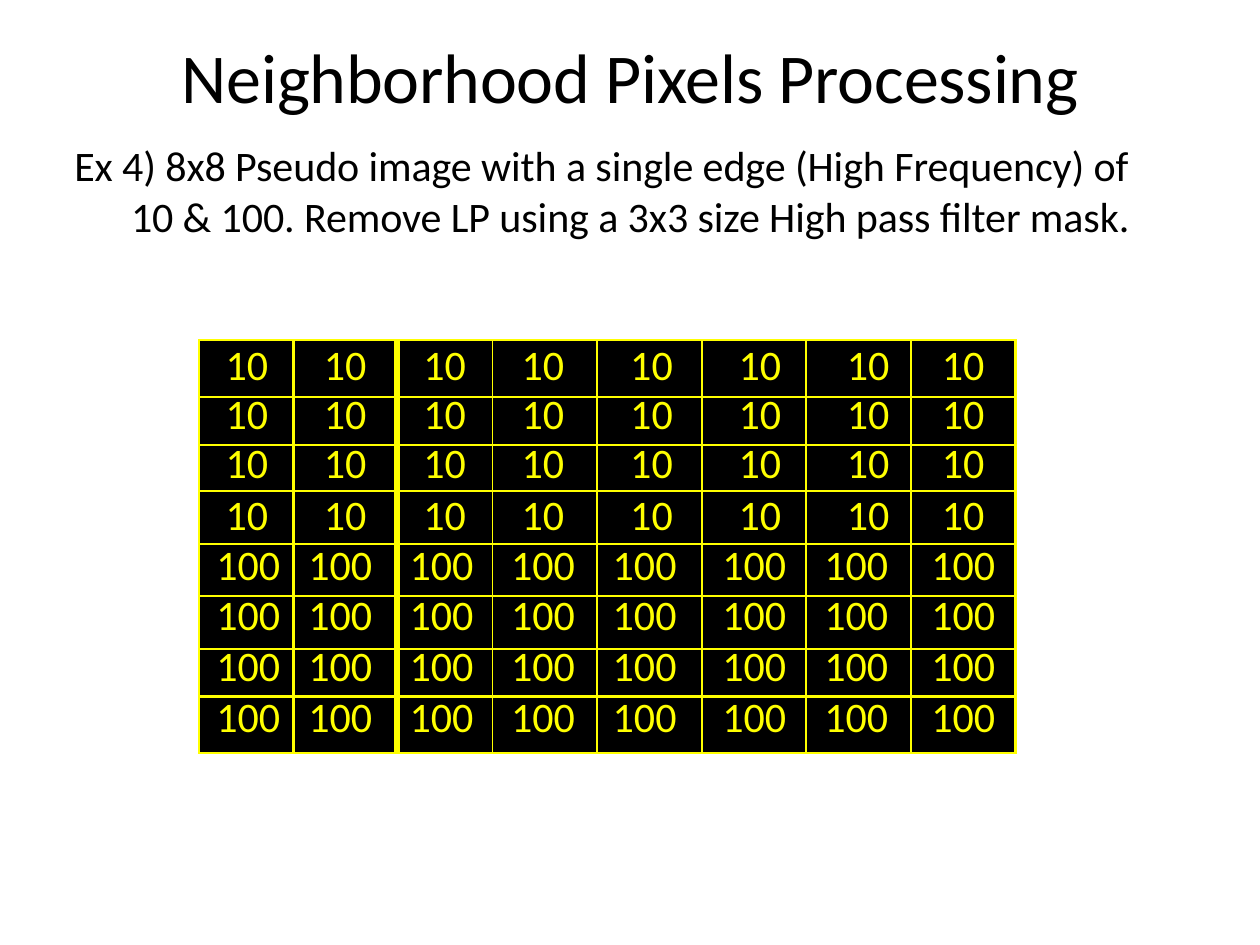
import pptx
import pptx.dml.color
import pptx.enum.text
import pptx.oxml
import pptx.oxml.ns
import pptx.util

Inches = pptx.util.Inches
ALIGN = pptx.enum.text.PP_ALIGN
ANCHOR = pptx.enum.text.MSO_ANCHOR
COLORS = {"text": "000000", "background": "FFFFFF", "cell": "000000", "grid": "FFFF00"}
COLUMN_WIDTHS = [0.75, 0.82, 0.76] + [0.83] * 5
ROW_HEIGHTS = [0.45, 0.38, 0.37, 0.42, 0.41, 0.42, 0.38, 0.45]
LINE_SPACINGS = [None, 25.2, 25.9, 28.7, 27.5, 26.4, 25.1, 26.9]
PIXEL_ROWS = [["10"] * 8] * 4 + [["100"] * 8] * 4
EDGE_WIDTHS = [1.5, 1.5, 4.25, 1, 1, 1.5, 1.5, 1.5, 1.5]
RIGHT_ALIGNED = (4, 5, 6)
RIGHT_MARGINS = {
    "10": [0, 0, 0, 0.03, 0.23, 0.2, 0.17, 0],
    "100": [0, 0.08, 0.05, 0.03, 0.2, 0.16, 0.18, 0],
}
LEFT_MARGINS = {"10": 0.01, "100": 0.03}


class PixelSlide:
    """Holds the style and the current slide, and adds each kind of element."""

    def __init__(self, presentation):
        self.font_name = "Calibri"
        self.slide = presentation.slides.add_slide(presentation.slide_layouts[5])
        background = self.slide.background.fill
        background.solid()
        background.fore_color.rgb = self.color("background")

    def color(self, name):
        return pptx.dml.color.RGBColor.from_string(COLORS[name])

    def apply(self, target, values):
        for name, value in values.items():
            setattr(target, name, value)

    def add_text(self, paragraph, text, size, color, spacing=0):
        run = paragraph.add_run()
        run.text = text
        self.apply(run.font, {"name": self.font_name, "size": pptx.util.Pt(size)})
        run.font.color.rgb = self.color(color)
        if spacing:
            run.font._element.set("spc", str(spacing))

    def prepare(self, shape, left, top, width, height, anchor):
        self.apply(shape, {"left": Inches(left), "top": Inches(top),
                           "width": Inches(width), "height": Inches(height)})
        self.apply(shape.text_frame, {
            "word_wrap": True, "vertical_anchor": anchor, "margin_left": 0,
            "margin_top": Inches(0.01), "margin_right": 0, "margin_bottom": 0})
        return shape.text_frame.paragraphs[0]

    def title(self, text, box):
        paragraph = self.prepare(self.slide.shapes.title, *box, ANCHOR.MIDDLE)
        paragraph.alignment = ALIGN.CENTER
        self.add_text(paragraph, text, 40, "text", -10)

    def description(self, text, box):
        shape = self.slide.shapes.add_textbox(0, 0, 0, 0)
        paragraph = self.prepare(shape, *box, ANCHOR.TOP)
        properties = paragraph._p.get_or_add_pPr()
        properties.set("marL", str(Inches(0.45)))
        properties.set("indent", str(Inches(-0.45)))
        self.add_text(paragraph, text, 24, "text", -7)

    def border(self, cell, side, width):
        cell._tc.get_or_add_tcPr().append(pptx.oxml.parse_xml(
            f'<a:ln{side} {pptx.oxml.ns.nsdecls("a")} w="{pptx.util.Pt(width)}">'
            f'<a:solidFill><a:srgbClr val="{COLORS["grid"]}"/></a:solidFill>'
            f'</a:ln{side}>'))

    def cell(self, cell, text, row, column):
        sides = {"L": EDGE_WIDTHS[column], "R": EDGE_WIDTHS[column + 1], "T": 1.5, "B": 1.5}
        for side, width in sides.items():
            self.border(cell, side, width)
        cell.fill.solid()
        cell.fill.fore_color.rgb = self.color("cell")
        self.apply(cell, {
            "margin_left": Inches(0 if column else LEFT_MARGINS[text]),
            "margin_right": Inches(RIGHT_MARGINS[text][column]),
            "margin_top": 0, "margin_bottom": 0})
        paragraph = cell.text_frame.paragraphs[0]
        paragraph.alignment = ALIGN.RIGHT if column in RIGHT_ALIGNED else ALIGN.CENTER
        if LINE_SPACINGS[row]:
            paragraph.line_spacing = pptx.util.Pt(LINE_SPACINGS[row])
        self.add_text(paragraph, text, 24, "grid")

    def table(self, rows, left, top):
        table = self.slide.shapes.add_table(
            len(rows), len(rows[0]), Inches(left), Inches(top),
            Inches(sum(COLUMN_WIDTHS)), Inches(sum(ROW_HEIGHTS))).table
        self.apply(table, {"first_row": False, "horz_banding": False})
        for column, width in zip(table.columns, COLUMN_WIDTHS):
            column.width = Inches(width)
        for row, height in zip(table.rows, ROW_HEIGHTS):
            row.height = Inches(height)
        for row, values in enumerate(rows):
            for column, text in enumerate(values):
                self.cell(table.cell(row, column), text, row, column)


def main():
    presentation = pptx.Presentation()
    presentation.slide_width = Inches(10)
    presentation.slide_height = Inches(7.5)
    slide = PixelSlide(presentation)
    slide.title("Neighborhood Pixels Processing", (0.5, 0.25, 9, 0.69))
    slide.description(
        "Ex 4) 8x8 Pseudo image with a single edge (High Frequency) of "
        "10 & 100. Remove LP using a 3x3 size High pass filter mask.",
        (0.59, 1.1, 8.43, 0.83))
    slide.table(PIXEL_ROWS, 1.58, 2.7)
    presentation.save("out.pptx")


if __name__ == "__main__":
    main()
